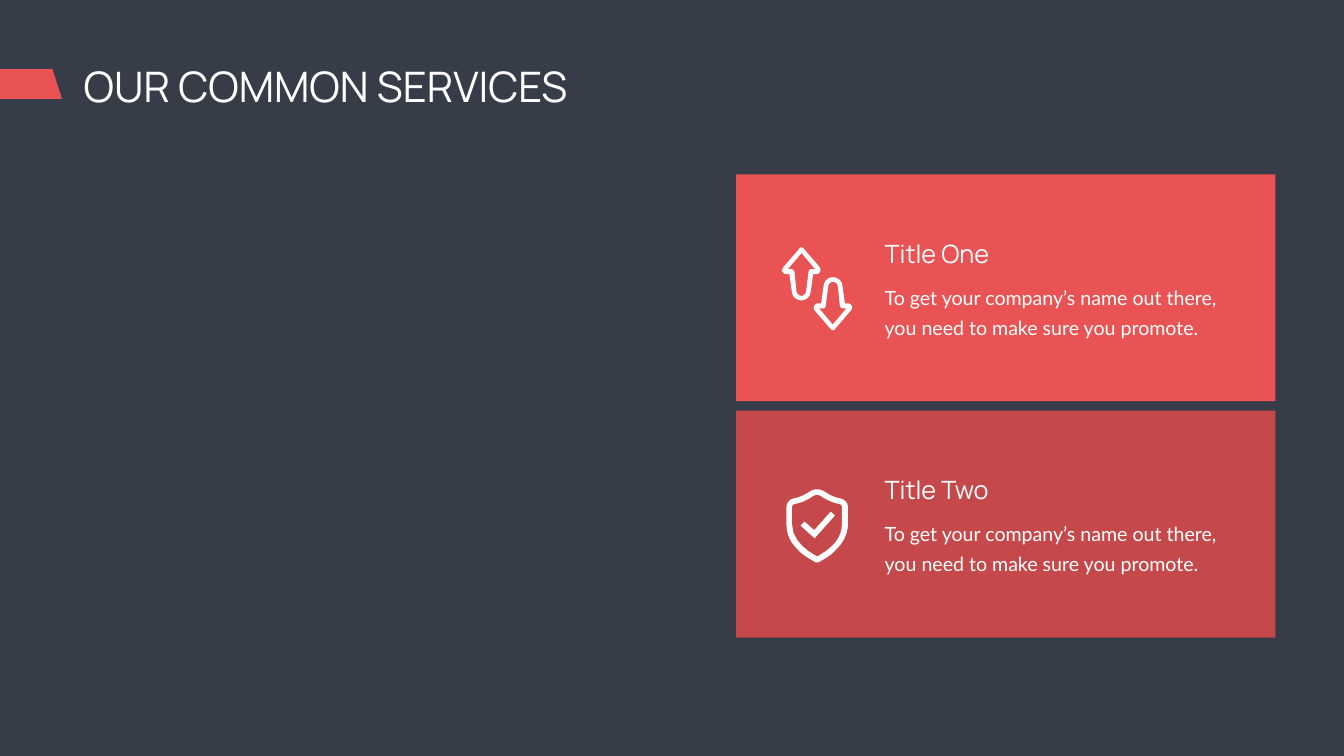
"""Build the slide of common services with two icon cards."""
from pptx import Presentation
from pptx.dml.color import RGBColor
from pptx.enum.text import MSO_ANCHOR, MSO_AUTO_SIZE, PP_ALIGN
from pptx.enum.shapes import MSO_SHAPE
from pptx.util import Inches, Pt

RECT = MSO_SHAPE.RECTANGLE
TOP = MSO_ANCHOR.TOP
GROW = MSO_AUTO_SIZE.SHAPE_TO_FIT_TEXT
LEFT = PP_ALIGN.LEFT

DARK = RGBColor(0x36, 0x3D, 0x48)
RED = RGBColor(0xE9, 0x53, 0x54)
DEEP = RGBColor(0xC5, 0x49, 0x4B)
WHITE = RGBColor(0xFF, 0xFF, 0xFF)

HEAD = "Manrope"
BODY = "Lato"
PITCH = 4.69
STEPS = 6
PROMO = "To get your company’s name out there, you need to make sure you promote."

TAG = "1.04 1.37 L 0 1.37 L 0 1.96 L 1.23 1.96"
ARROW_IN = (
    "16.09 5.34 C 16.06 5.34 16.04 5.37 16.04 5.39 L 15.99 5.79 "
    "C 15.98 5.83 15.94 5.87 15.9 5.87 C 15.85 5.87 15.81 5.83 15.8 5.79 "
    "L 15.76 5.39 C 15.75 5.37 15.73 5.34 15.7 5.34 L 15.63 5.34 "
    "L 15.9 5.02 L 16.17 5.34")
ARROW_OUT = (
    "16.27 5.39 C 16.28 5.36 16.28 5.33 16.26 5.3 L 15.94 4.93 "
    "C 15.93 4.91 15.91 4.91 15.9 4.91 C 15.88 4.91 15.87 4.91 15.86 4.93 "
    "L 15.54 5.3 C 15.52 5.33 15.51 5.36 15.52 5.39 "
    "C 15.54 5.42 15.57 5.44 15.6 5.44 L 15.66 5.44 L 15.71 5.8 "
    "C 15.72 5.89 15.8 5.96 15.9 5.96 C 15.99 5.96 16.07 5.89 16.08 5.8 "
    "L 16.13 5.44 L 16.19 5.44 C 16.23 5.44 16.25 5.42 16.27 5.39")
CHECK = ("16.15 10.52 L 15.96 10.35 L 15.88 10.43 L 16.16 10.68 "
         "L 16.56 10.23 L 16.48 10.15")
SHIELD_IN = (
    "16.7 10.4 C 16.7 10.58 16.62 10.74 16.45 10.88 "
    "C 16.35 10.96 16.25 11.02 16.21 11.04 "
    "C 16.11 10.99 15.71 10.77 15.71 10.4 L 15.71 10.06 "
    "C 15.71 10.03 15.73 10.01 15.76 10 C 15.92 9.98 16.06 9.89 16.13 9.84 "
    "C 16.15 9.83 16.18 9.82 16.21 9.82 C 16.23 9.82 16.26 9.83 16.28 9.84 "
    "C 16.35 9.89 16.5 9.98 16.66 10 C 16.68 10.01 16.7 10.03 16.7 10.06")
SHIELD_OUT = (
    "16.67 9.89 C 16.54 9.87 16.41 9.79 16.35 9.75 "
    "C 16.3 9.72 16.26 9.71 16.21 9.71 C 16.16 9.71 16.11 9.72 16.07 9.75 "
    "C 16 9.79 15.88 9.87 15.74 9.89 C 15.66 9.91 15.6 9.98 15.6 10.06 "
    "L 15.6 10.4 C 15.6 10.52 15.63 10.63 15.69 10.74 "
    "C 15.74 10.82 15.81 10.89 15.89 10.97 "
    "C 16.04 11.09 16.18 11.15 16.18 11.16 L 16.23 11.16 "
    "C 16.24 11.15 16.38 11.09 16.52 10.97 "
    "C 16.6 10.89 16.67 10.82 16.72 10.74 "
    "C 16.78 10.63 16.82 10.52 16.82 10.4 L 16.82 10.06 "
    "C 16.82 9.98 16.76 9.91 16.67 9.89")


def place(shape, left, top, width, height):
    shape.left, shape.top = Inches(left), Inches(top)
    shape.width, shape.height = Inches(width), Inches(height)


def paint(shape, color):
    shape.shadow.inherit = False
    shape.fill.solid()
    shape.fill.fore_color.rgb = color
    shape.line.fill.background()


def write(shape, text, size, font=HEAD, color=WHITE, space=None):
    frame = shape.text_frame
    frame.word_wrap = True
    frame.auto_size = GROW
    frame.vertical_anchor = TOP
    frame.text = text
    para = frame.paragraphs[0]
    para.alignment = LEFT
    if space:
        para.line_spacing = Pt(space)
    style = para.runs[0].font
    style.name, style.size = font, Pt(size)
    style.color.rgb = color


def label(shapes, spot, text, size, **style):
    box = shapes.add_textbox(*map(Inches, spot))
    write(box, text, size, **style)


def bend(start, one, two, end):
    points = []
    for step in range(1, STEPS + 1):
        t = step / STEPS
        u = 1 - t
        points.append(tuple(
            u ** 3 * a + 3 * u * u * t * b + 3 * u * t * t * c + t ** 3 * d
            for a, b, c, d in zip(start, one, two, end)))
    return points


def trace(loop):
    points = []
    for part in loop.replace("L", "|L").replace("C", "|C").split("|"):
        nums = [float(n) for n in part.strip("LC ").split()]
        pairs = list(zip(nums[::2], nums[1::2]))
        points += bend(points[-1], *pairs) if part[0] == "C" else pairs
    return points


def flip(loops, x, y):
    return [[(2 * x - a, 2 * y - b) for a, b in loop] for loop in loops]


def draw(shapes, loops, color=WHITE):
    pen = None
    for loop in loops:
        first, *rest = [(Inches(x), Inches(y)) for x, y in loop]
        if pen is None:
            pen = shapes.build_freeform(*first)
        else:
            pen.move_to(*first)
        pen.add_line_segments(rest, close=True)
    paint(pen.convert_to_shape(), color)


def panel(shapes, top, color):
    card = shapes.add_shape(RECT, Inches(14.6), Inches(top),
                            Inches(10.7), Inches(4.5))
    paint(card, color)


def service(shapes, top, title, icons):
    group = shapes.add_group_shape().shapes
    label(group, (17.45, top + 2.03, 7.45, 1.25), PROMO, 28,
          font=BODY, space=43)
    label(group, (17.45, top + 1.22, 5.2, 0.71), title, 36)
    for icon in icons:
        draw(group, icon)


def main():
    deck = Presentation()
    deck.slide_width, deck.slide_height = Inches(26.66), Inches(15)
    slide = deck.slides.add_slide(deck.slide_layouts[5])
    back = slide.background.fill
    back.solid()
    back.fore_color.rgb = DARK
    shapes = slide.shapes

    place(shapes.title, 1.56, 1.16, 15.5, 1.11)
    write(shapes.title, "OUR COMMON SERVICES", 60)
    draw(shapes, [trace(TAG)], RED)

    tops = [3.46 + PITCH * row for row in range(2)]
    for top, color in zip(tops, (RED, DEEP)):
        panel(shapes, top, color)
    rise = [trace(ARROW_IN), trace(ARROW_OUT)]
    swap = [rise, flip(rise, 16.21, 5.73)]
    guard = [[trace(CHECK)], [trace(SHIELD_IN), trace(SHIELD_OUT)]]
    for top, title, icons in zip(tops, ("Title One", "Title Two"),
                                 (swap, guard)):
        service(shapes, top, title, icons)
    deck.save("out.pptx")


if __name__ == "__main__":
    main()
